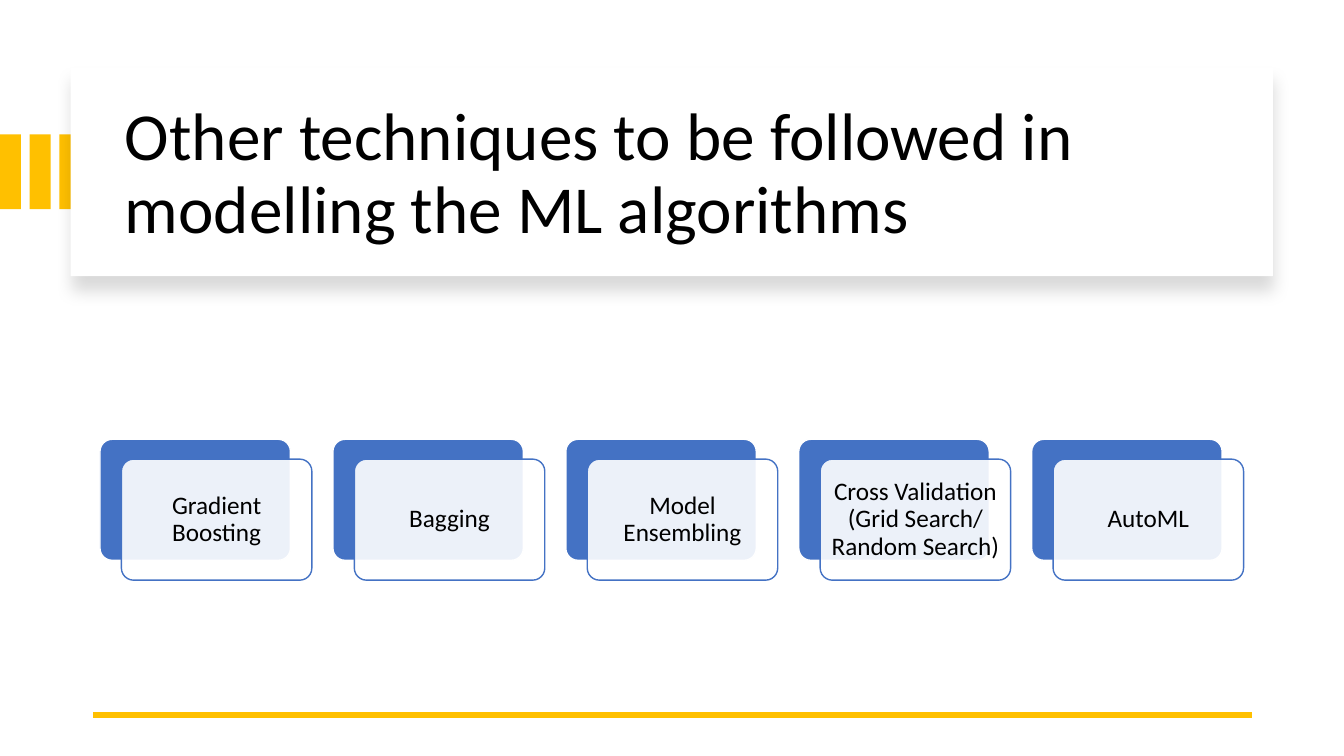
import pptx
import pptx.dml.color
import pptx.enum.shapes
import pptx.enum.text
import pptx.oxml
import pptx.oxml.ns
import pptx.util
from lxml import etree

Cm = pptx.util.Cm
Pt = pptx.util.Pt
RGBColor = pptx.dml.color.RGBColor
MSO_SHAPE = pptx.enum.shapes.MSO_SHAPE
PP_ALIGN = pptx.enum.text.PP_ALIGN
qn = pptx.oxml.ns.qn

GOLD = RGBColor(0xFF, 0xC0, 0x00)
BLUE = RGBColor(0x44, 0x72, 0xC4)
WHITE = RGBColor(0xFF, 0xFF, 0xFF)
BLACK = RGBColor(0x00, 0x00, 0x00)
FONT = "Calibri"

TITLE = "Other techniques to be followed in modelling the ML algorithms"
TECHNIQUES = [
    "Gradient Boosting",
    "Bagging",
    "Model Ensembling",
    "Cross Validation (Grid Search/ Random Search)",
    "AutoML",
]


def add_box(slide, kind, left, top, width, height, fill, line=None):
    """Add a filled shape, measured in centimetres, with no shadow."""
    shape = slide.shapes.add_shape(kind, Cm(left), Cm(top), Cm(width), Cm(height))
    shape.shadow.inherit = False
    shape.fill.solid()
    shape.fill.fore_color.rgb = fill
    if line is None:
        shape.line.fill.background()
    else:
        shape.line.color.rgb = line
        shape.line.width = Pt(1)
    return shape


def write_text(shape, text, size, alignment, inset):
    """Write one vertically centred paragraph into the shape."""
    frame = shape.text_frame
    frame.word_wrap = True
    frame.vertical_anchor = pptx.enum.text.MSO_ANCHOR.MIDDLE
    frame.margin_left = frame.margin_right = Cm(inset)
    frame.margin_top = frame.margin_bottom = Cm(inset)
    paragraph = frame.paragraphs[0]
    paragraph.alignment = alignment
    paragraph.line_spacing = 0.9
    run = paragraph.add_run()
    run.text = text
    run.font.name = FONT
    run.font.size = Pt(size)
    run.font.color.rgb = BLACK


def add_soft_shadow(shape):
    effects = shape._element.spPr.find(qn("a:effectLst"))
    shadow = etree.SubElement(
        effects, qn("a:outerShdw"), blurRad=str(Pt(11)), dist=str(Pt(10)),
        dir="5400000", algn="t", rotWithShape="0")
    color = etree.SubElement(shadow, qn("a:srgbClr"), val=str(BLACK))
    etree.SubElement(color, qn("a:alpha"), val="15000")


def set_opacity(shape, percent):
    color = shape._element.spPr.find(qn("a:solidFill")).find(qn("a:srgbClr"))
    etree.SubElement(color, qn("a:alpha"), val=str(percent * 1000))


def add_accent_bars(slide, left, top, width, height):
    """Spread three bars over the box, with equal gaps."""
    bar_width = 0.53
    pitch = (width - bar_width) / 2
    for index in range(3):
        add_box(slide, MSO_SHAPE.RECTANGLE, left + index * pitch, top,
                bar_width, height, GOLD)


def add_title_panel(slide, left, top, width, height):
    panel = add_box(slide, MSO_SHAPE.RECTANGLE, left, top, width, height, WHITE)
    add_soft_shadow(panel)
    title = slide.shapes.add_textbox(
        Cm(left + 1.12), Cm(top + 0.56), Cm(width - 2.03), Cm(height - 0.94))
    write_text(title, TITLE, 48, PP_ALIGN.LEFT, 0.25)


def add_footer_rule(slide, left, top, width):
    rule = slide.shapes.add_connector(
        pptx.enum.shapes.MSO_CONNECTOR.STRAIGHT,
        Cm(left + width), Cm(top), Cm(left), Cm(top))
    rule.line.color.rgb = GOLD
    rule.line.width = Pt(4.5)
    etree.SubElement(rule._element.spPr, qn("a:effectLst"))


def add_technique_cards(slide, left, top, width, height):
    """Place one blue card with an offset white label card per technique."""
    card_width, shift_x, shift_y = 4.8, 0.54, 0.5
    card_height = height - shift_y
    pitch = (width - card_width - shift_x) / (len(TECHNIQUES) - 1)
    for index, technique in enumerate(TECHNIQUES):
        card_left = left + index * pitch
        back = add_box(slide, MSO_SHAPE.ROUNDED_RECTANGLE, card_left, top,
                       card_width, card_height, BLUE, WHITE)
        label = add_box(slide, MSO_SHAPE.ROUNDED_RECTANGLE, card_left + shift_x,
                        top + shift_y, card_width, card_height, WHITE, BLUE)
        for card in (back, label):
            card.adjustments[0] = 0.1
        set_opacity(label, 90)
        write_text(label, technique, 18, PP_ALIGN.CENTER, 0.17)


def main():
    presentation = pptx.Presentation()
    presentation.slide_width = Cm(33.87)
    presentation.slide_height = Cm(19.05)
    slide = presentation.slides.add_slide(presentation.slide_layouts[6])
    add_accent_bars(slide, 0, 3.39, 2.03, 1.88)
    add_title_panel(slide, 1.78, 1.7, 30.3, 5.26)
    add_footer_rule(slide, 2.34, 18.01, 29.21)
    add_technique_cards(slide, 2.52, 11.07, 28.82, 3.55)
    presentation.save("out.pptx")


if __name__ == "__main__":
    main()
